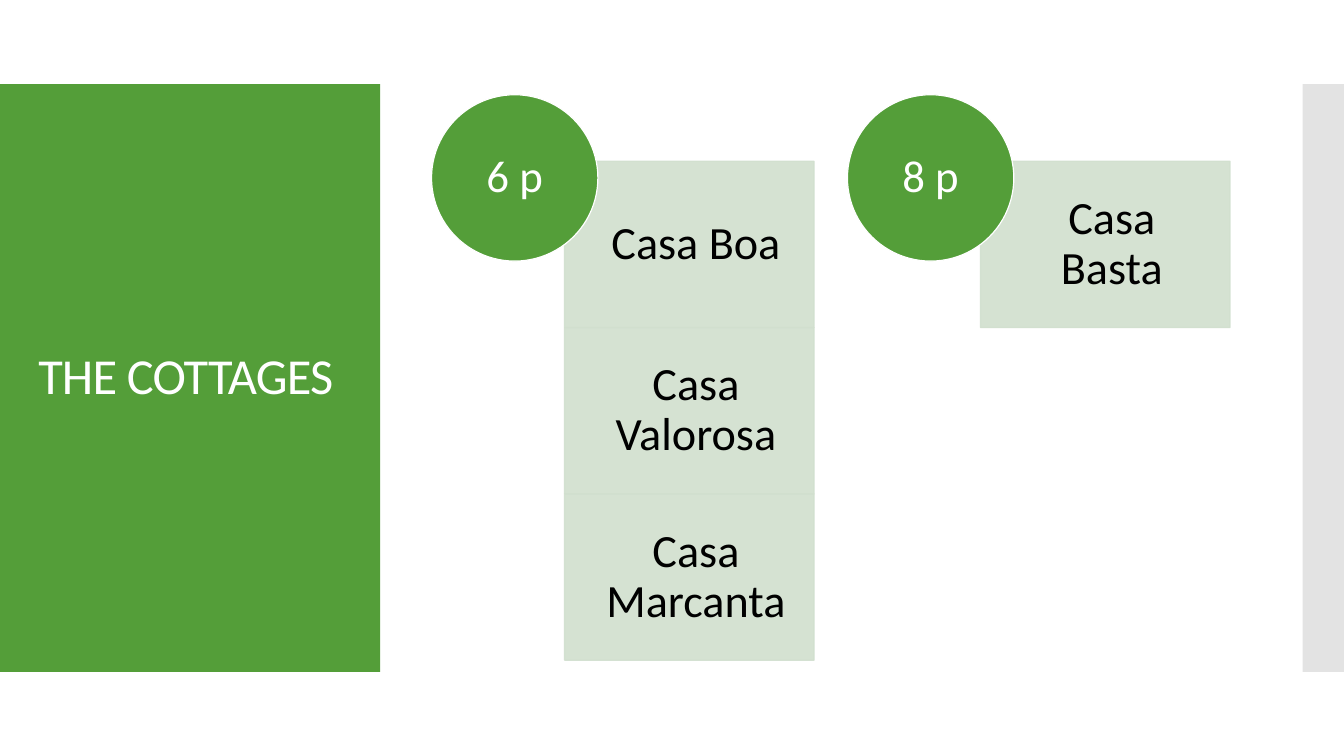
from lxml.etree import SubElement
from pptx import Presentation
from pptx.dml.color import RGBColor
from pptx.enum.shapes import MSO_SHAPE as SHAPE
from pptx.enum.text import MSO_ANCHOR as ANCHOR, PP_ALIGN as ALIGN
from pptx.oxml.ns import qn
from pptx.util import Inches, Pt

W, H = 13.33, 7.5
GREEN, PALE, GRAY, WHITE, BLACK = "549E39", "D1DFCE", "C8C8C8", "FFFFFF", "000000"
UNIT = 1.65
COLUMN_STEP = 2.5 * UNIT
COTTAGES = [
    ("6 p", ["Casa Boa", "Casa Valorosa", "Casa Marcanta"]),
    ("8 p", ["Casa Basta"]),
]
TITLE = {"size": 36, "color": WHITE, "align": ALIGN.LEFT, "insets": (0.38, 0.05, 0.37, 0.05)}
CARD = {"size": 33, "color": BLACK, "align": ALIGN.CENTER, "insets": (0.39, 0.26, 0.26, 0.26)}
BADGE = {"size": 32, "color": WHITE, "align": ALIGN.CENTER, "insets": (0, 0, 0, 0)}


def paint(color, value, alpha=100):
    color.rgb = RGBColor.from_string(value)
    if alpha < 100:
        node = color._xFill.find(qn("a:srgbClr"))
        SubElement(node, qn("a:alpha")).set("val", str(alpha * 1000))


def add_block(slide, kind, box, fill, line=None, alpha=100):
    sp = slide.shapes.add_shape(kind, *map(Inches, box))
    sp.shadow.inherit = False
    sp.fill.solid()
    paint(sp.fill.fore_color, fill, alpha)
    if line:
        sp.line.fill.solid()
        paint(sp.line.fill.fore_color, line, alpha)
        sp.line.width = Pt(0.85)
    else:
        sp.line.fill.background()
    return sp


def write(sp, text, style):
    tf = sp.text_frame
    sides = ("margin_left", "margin_top", "margin_right", "margin_bottom")
    frame = dict(zip(sides, map(Inches, style["insets"])))
    frame.update(word_wrap=True, vertical_anchor=ANCHOR.MIDDLE)
    p = tf.paragraphs[0]
    r = p.add_run()
    r.text = text
    formats = [
        (tf, frame),
        (p, {"alignment": style["align"], "line_spacing": 0.9}),
        (r.font, {"name": "Calibri", "size": Pt(style["size"])}),
    ]
    for target, values in formats:
        for name, value in values.items():
            setattr(target, name, value)
    paint(r.font.color, style["color"])
    return r


def add_title_panel(slide, box):
    sp = add_block(slide, SHAPE.RECTANGLE, box, GREEN)
    r = write(sp, "THE COTTAGES", TITLE)
    r.font._element.set("spc", "-60")


def add_edge_strip(slide, box):
    add_block(slide, SHAPE.RECTANGLE, box, GRAY, alpha=50)


def add_cottage_column(slide, box, capacity, names):
    left, top, unit = box
    for row, name in enumerate(names):
        card = (left + 0.8 * unit, top + (0.4 + row) * unit, 1.5 * unit, unit)
        write(add_block(slide, SHAPE.RECTANGLE, card, PALE, PALE, 90), name, CARD)
    badge = (left, top, unit, unit)
    write(add_block(slide, SHAPE.OVAL, badge, GREEN, WHITE), capacity, BADGE)


def main():
    prs = Presentation()
    prs.slide_width, prs.slide_height = Inches(W), Inches(H)
    slide = prs.slides.add_slide(prs.slide_layouts[6])
    band_top, band_height = H / 9, H * 7 / 9
    add_title_panel(slide, (0, band_top, 3.77, band_height))
    add_edge_strip(slide, (12.92, band_top, W - 12.92, band_height))
    for i, (capacity, names) in enumerate(COTTAGES):
        add_cottage_column(slide, (4.28 + i * COLUMN_STEP, 0.94, UNIT), capacity, names)
    prs.save("out.pptx")


if __name__ == "__main__":
    main()
